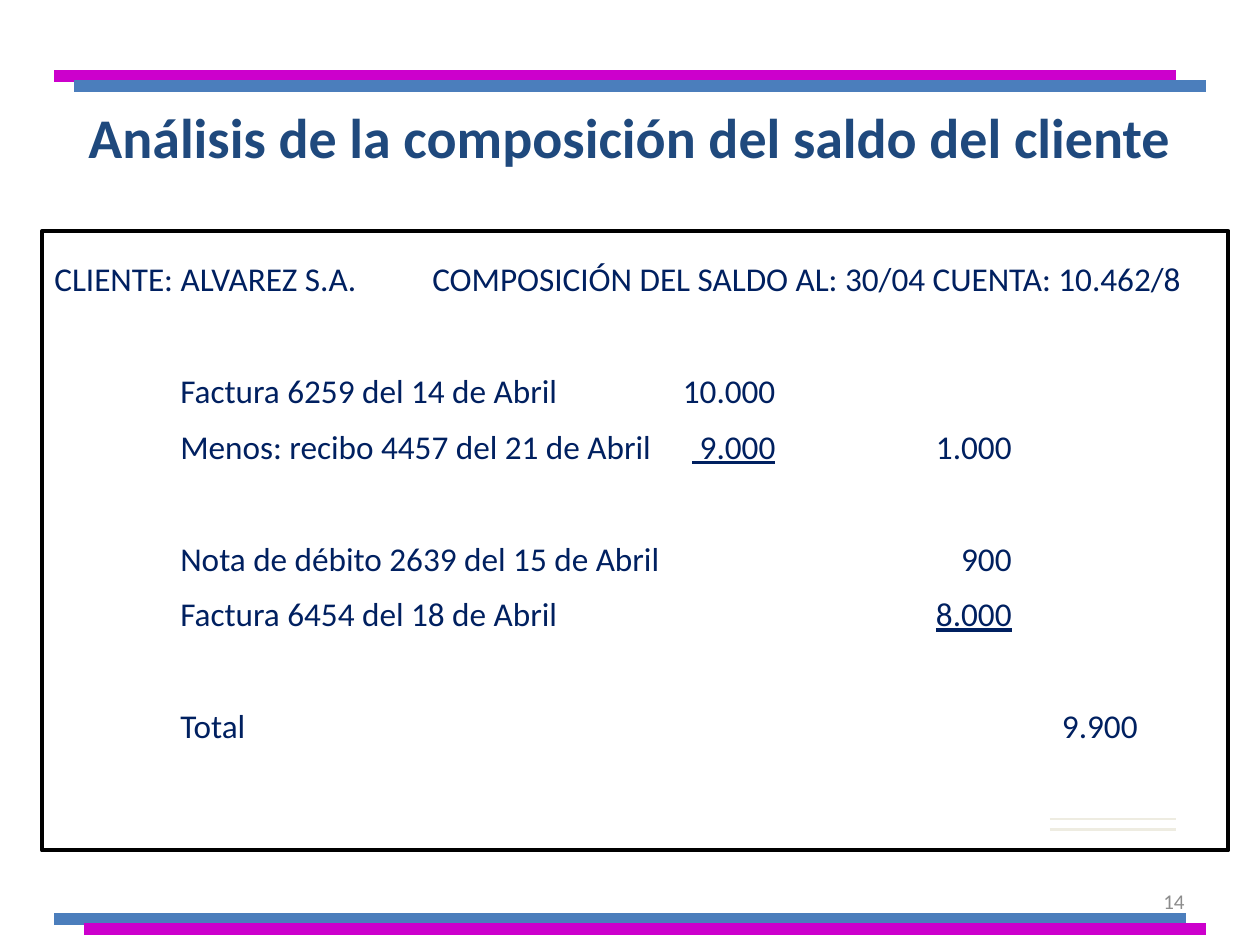
from lxml.etree import SubElement
from pptx import Presentation
from pptx.dml.color import RGBColor
from pptx.enum.shapes import MSO_CONNECTOR, MSO_SHAPE
from pptx.enum.text import MSO_ANCHOR, MSO_AUTO_SIZE, PP_ALIGN
from pptx.oxml.ns import qn
from pptx.util import Pt

NAVY, TITLE_BLUE, GRAY = "002060", "1F497D", "8C8C8C"
MAGENTA, BLUE, CREAM, BLACK = "CC00CC", "4B7EBC", "EEECE1", "000000"


def color(value):
    return RGBColor.from_string(value)


class StatementSlide:
    font_name = "Calibri"
    body_size = 19
    row_gap = 9
    group_gap = 41.2

    def __init__(self, deck):
        self.slide = deck.slides.add_slide(deck.slide_layouts[5])

    def format_font(self, font, size, ink, bold=False):
        font.name = self.font_name
        font.size = Pt(size)
        font.bold = bold
        font.color.rgb = color(ink)

    def place(self, holder, left, top, width, height):
        holder.left, holder.top = Pt(left), Pt(top)
        holder.width, holder.height = Pt(width), Pt(height)

    def title(self, wording, *area):
        heading = self.slide.shapes.title
        self.place(heading, *area)
        frame = heading.text_frame
        frame.text = wording
        frame.auto_size = MSO_AUTO_SIZE.NONE
        frame.vertical_anchor = MSO_ANCHOR.TOP
        frame.paragraphs[0].alignment = PP_ALIGN.CENTER
        self.format_font(frame.paragraphs[0].runs[0].font, 32, TITLE_BLUE, True)

    def text_box(self, *area):
        frame = self.slide.shapes.add_textbox(*map(Pt, area)).text_frame
        frame.word_wrap = True
        return frame

    def tab_stops(self, paragraph, stops):
        tabs = SubElement(paragraph._p.get_or_add_pPr(), qn("a:tabLst"))
        for position, side in stops:
            SubElement(tabs, qn("a:tab"), pos=str(Pt(position)), algn=side)

    def statement(self, heading, groups, *area):
        frame = self.text_box(*area)
        header = frame.paragraphs[0]
        header.text = heading
        self.tab_stops(header, [(216, "l")])
        self.format_font(header.runs[0].font, self.body_size, NAVY)
        columns = [(72, "l"), (412, "r"), (547, "r"), (619, "r")]
        for group in groups:
            for index, (cells, underlined) in enumerate(group):
                row = frame.add_paragraph()
                row.space_before = Pt(self.row_gap if index else self.group_gap)
                self.tab_stops(row, columns)
                before, amount, after = ("\t" + "\t".join(cells)).partition(underlined or "\n")
                for part in filter(None, (before, amount, after)):
                    run = row.add_run()
                    run.text = part
                    self.format_font(run.font, self.body_size, NAVY)
                    run.font.underline = part == underlined

    def frame(self, *area):
        border = self.slide.shapes.add_shape(MSO_SHAPE.RECTANGLE, *map(Pt, area))
        border.shadow.inherit = False
        border.fill.background()
        border.line.color.rgb = color(BLACK)
        border.line.width = Pt(2.25)

    def rule(self, start, end, y, ink, weight):
        line = self.slide.shapes.add_connector(
            MSO_CONNECTOR.STRAIGHT, Pt(start), Pt(y), Pt(end), Pt(y))
        line.line.color.rgb = color(ink)
        line.line.width = Pt(weight)
        SubElement(line._element.spPr, qn("a:effectLst"))

    def page_number(self, number, *area):
        frame = self.text_box(*area)
        frame.text = number
        frame.vertical_anchor = MSO_ANCHOR.MIDDLE
        frame.paragraphs[0].alignment = PP_ALIGN.RIGHT
        self.format_font(frame.paragraphs[0].runs[0].font, 12, GRAY)


def main():
    deck = Presentation()
    deck.slide_width, deck.slide_height = Pt(720), Pt(540)
    page = StatementSlide(deck)
    page.title("Análisis de la composición del saldo del cliente", 0, 54.7, 720, 46)
    groups = [
        [(["Factura 6259 del 14 de Abril", "10.000"], None),
         (["Menos: recibo 4457 del 21 de Abril", " 9.000", "1.000"], " 9.000")],
        [(["Nota de débito 2639 del 15 de Abril", "", "900"], None),
         (["Factura 6454 del 18 de Abril", "", "8.000"], "8.000")],
        [(["Total", "", "", "9.900"], None)],
    ]
    page.statement(
        "CLIENTE: ALVAREZ S.A.\tCOMPOSICIÓN DEL SALDO AL: 30/04 CUENTA: 10.462/8",
        groups, 24, 144, 678, 342)
    page.frame(24, 132, 678, 354)
    for y in (468, 474):
        page.rule(600, 672, y, CREAM, 1.5)
    for start, end, y, ink in [
        (31, 672, 43.2, MAGENTA),
        (42.5, 689, 49, BLUE),
        (31, 677.5, 525, BLUE),
        (48, 689, 530.8, MAGENTA),
    ]:
        page.rule(start, end, y, ink, 6.75)
    page.page_number("14", 516, 500.5, 168, 28.8)
    deck.save("out.pptx")


if __name__ == "__main__":
    main()
